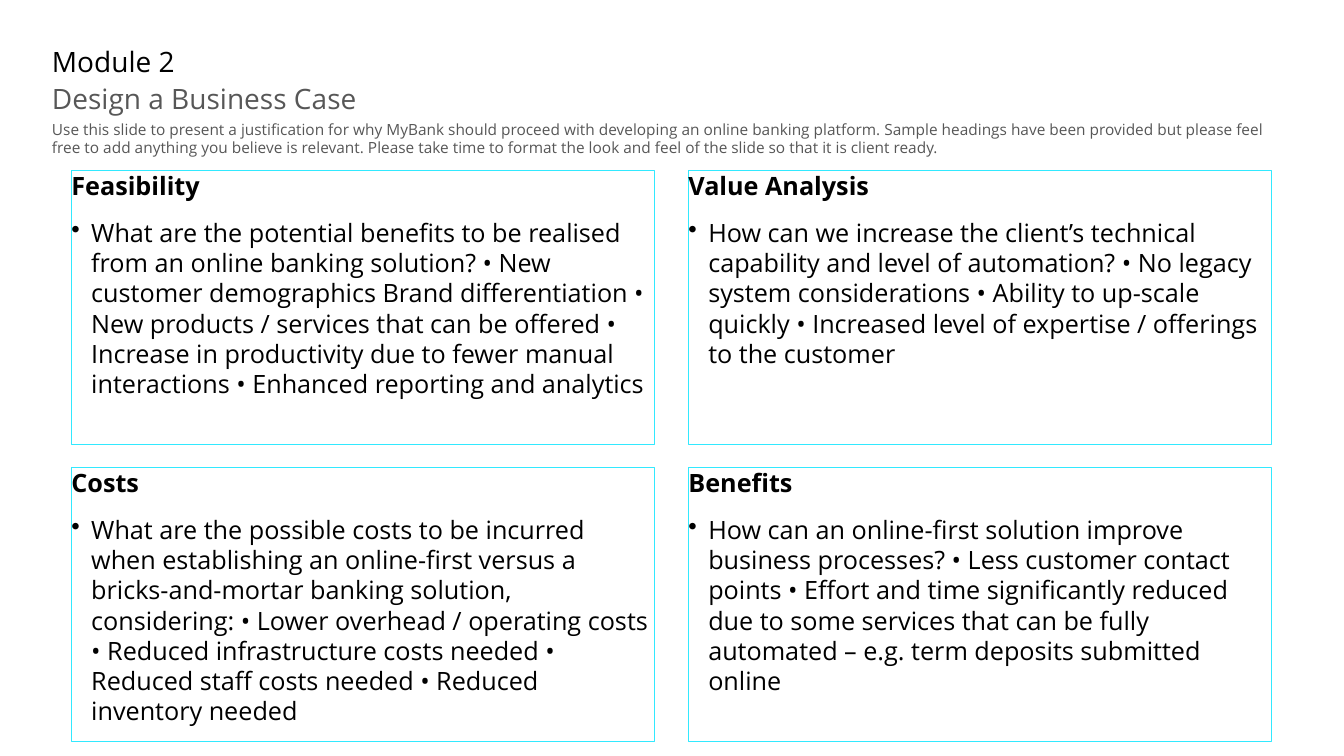
from dataclasses import dataclass

from lxml import etree
from pptx import Presentation
from pptx import util as u
from pptx.dml.color import RGBColor
from pptx.enum import shapes, text
from pptx.oxml.ns import qn

FONT = "Open Sans"
COLORS = {"ink": "000000", "muted": "575757", "frame": "32E9FF"}

CARD_LEFT, CARD_TOP = 1.8, 4.29
CARD_WIDTH, CARD_HEIGHT = 14.7, 6.91
COLUMN_STEP, ROW_STEP = 15.55, 7.48


@dataclass
class Heading:
    words: str
    top: float
    width: float
    height: float
    size: int
    color: str


@dataclass
class Card:
    title: str
    body: str
    column: int
    row: int


HEADINGS = [
    Heading("Module 2", 1.12, 25.45, 0.94, 20, "ink"),
    Heading("Design a Business Case", 2.06, 25.45, 1.04, 20, "muted"),
    Heading(
        "Use this slide to present a justification for why MyBank should proceed with "
        "developing an online banking platform. Sample headings have been provided but "
        "please feel free to add anything you believe is relevant. Please take time to "
        "format the look and feel of the slide so that it is client ready.",
        3.02, 31.29, 1.12, 11, "muted"),
]

CARDS = [
    Card("Feasibility",
         "What are the potential benefits to be realised from an online banking solution? "
         "• New customer demographics Brand differentiation • New products / services that "
         "can be offered • Increase in productivity due to fewer manual interactions "
         "• Enhanced reporting and analytics", 0, 0),
    Card("Value Analysis",
         "How can we increase the client’s technical capability and level of automation? "
         "• No legacy system considerations • Ability to up-scale quickly • Increased level "
         "of expertise / offerings to the customer", 1, 0),
    Card("Costs",
         "What are the possible costs to be incurred when establishing an online-first "
         "versus a bricks-and-mortar banking solution, considering: • Lower overhead / "
         "operating costs • Reduced infrastructure costs needed • Reduced staff costs "
         "needed • Reduced inventory needed", 0, 1),
    Card("Benefits",
         "How can an online-first solution improve business processes? • Less customer "
         "contact points • Effort and time significantly reduced due to some services that "
         "can be fully automated – e.g. term deposits submitted online", 1, 1),
]


def rgb(name: str) -> RGBColor:
    return RGBColor.from_string(COLORS[name])


def prepare_frame(frame) -> None:
    """Wrap the text, start it at the top and remove the inner margins."""
    frame.word_wrap = True
    frame.vertical_anchor = text.MSO_ANCHOR.TOP
    frame.margin_left = frame.margin_right = frame.margin_top = frame.margin_bottom = 0


def write(para, words: str, size: int, color: str, bold: bool = False) -> None:
    para.text = words
    para.alignment = text.PP_ALIGN.LEFT
    para.font.name = FONT
    para.font.size = u.Pt(size)
    para.font.bold = bold
    para.font.color.rgb = rgb(color)


def add_bullet(para) -> None:
    properties = para._p.get_or_add_pPr()
    properties.set("marL", str(u.Cm(0.5)))
    properties.set("indent", str(-u.Cm(0.5)))
    bullet = etree.Element(qn("a:buChar"), char="•")
    properties.find(qn("a:defRPr")).addprevious(bullet)


def add_heading(page, heading: Heading) -> None:
    box = page.shapes.add_textbox(
        u.Cm(1.31), u.Cm(heading.top), u.Cm(heading.width), u.Cm(heading.height))
    prepare_frame(box.text_frame)
    write(box.text_frame.paragraphs[0], heading.words, heading.size, heading.color)


def add_card(page, card: Card) -> None:
    box = page.shapes.add_shape(
        shapes.MSO_SHAPE.RECTANGLE,
        u.Cm(CARD_LEFT + card.column * COLUMN_STEP),
        u.Cm(CARD_TOP + card.row * ROW_STEP),
        u.Cm(CARD_WIDTH), u.Cm(CARD_HEIGHT))
    box.shadow.inherit = False
    box.fill.background()
    box.line.color.rgb = rgb("frame")
    box.line.width = u.Pt(0.75)
    frame = box.text_frame
    prepare_frame(frame)
    title, body = frame.paragraphs[0], frame.add_paragraph()
    write(title, card.title, 18, "ink", bold=True)
    write(body, card.body, 18, "ink")
    for para in (title, body):
        para.space_before = para.space_after = u.Pt(6)
    add_bullet(body)


def main() -> None:
    deck = Presentation()
    deck.slide_width, deck.slide_height = u.Cm(33.87), u.Cm(19.05)
    page = deck.slides.add_slide(deck.slide_layouts[6])
    for heading in HEADINGS:
        add_heading(page, heading)
    for card in CARDS:
        add_card(page, card)
    deck.save("out.pptx")


if __name__ == "__main__":
    main()
